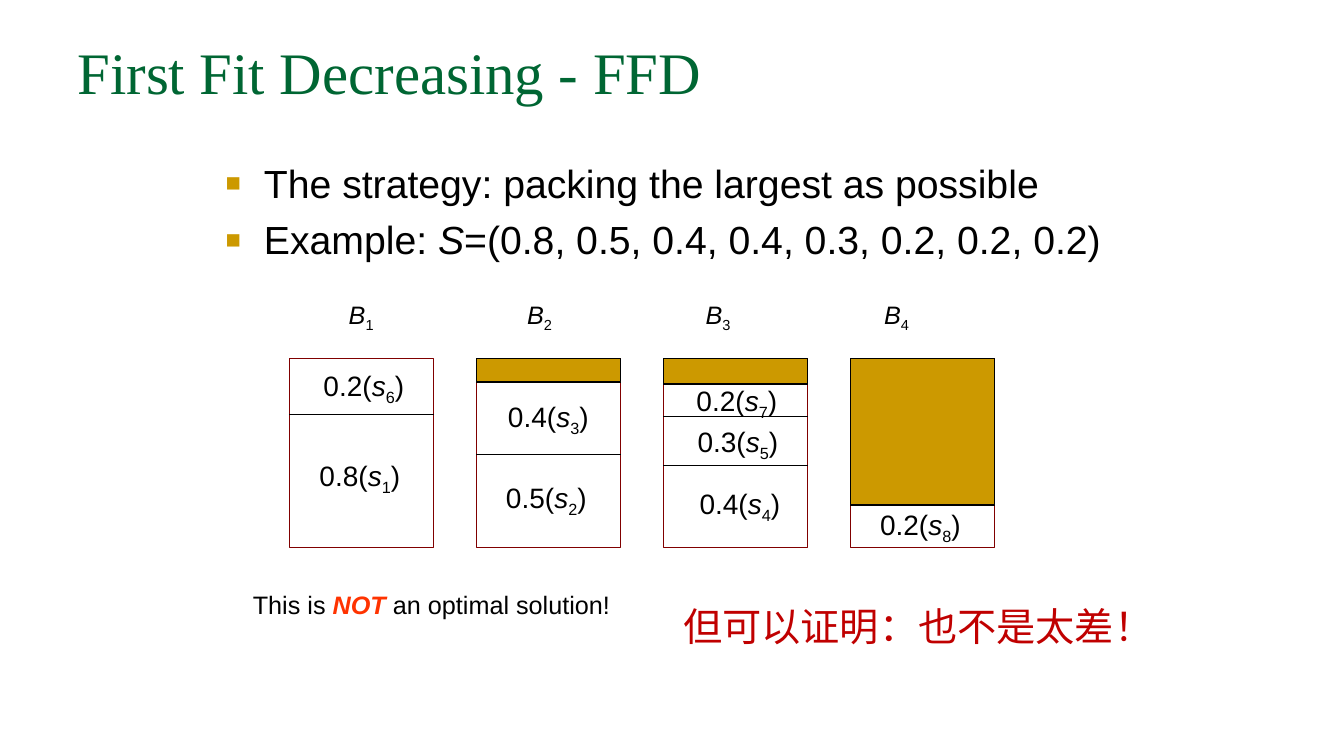
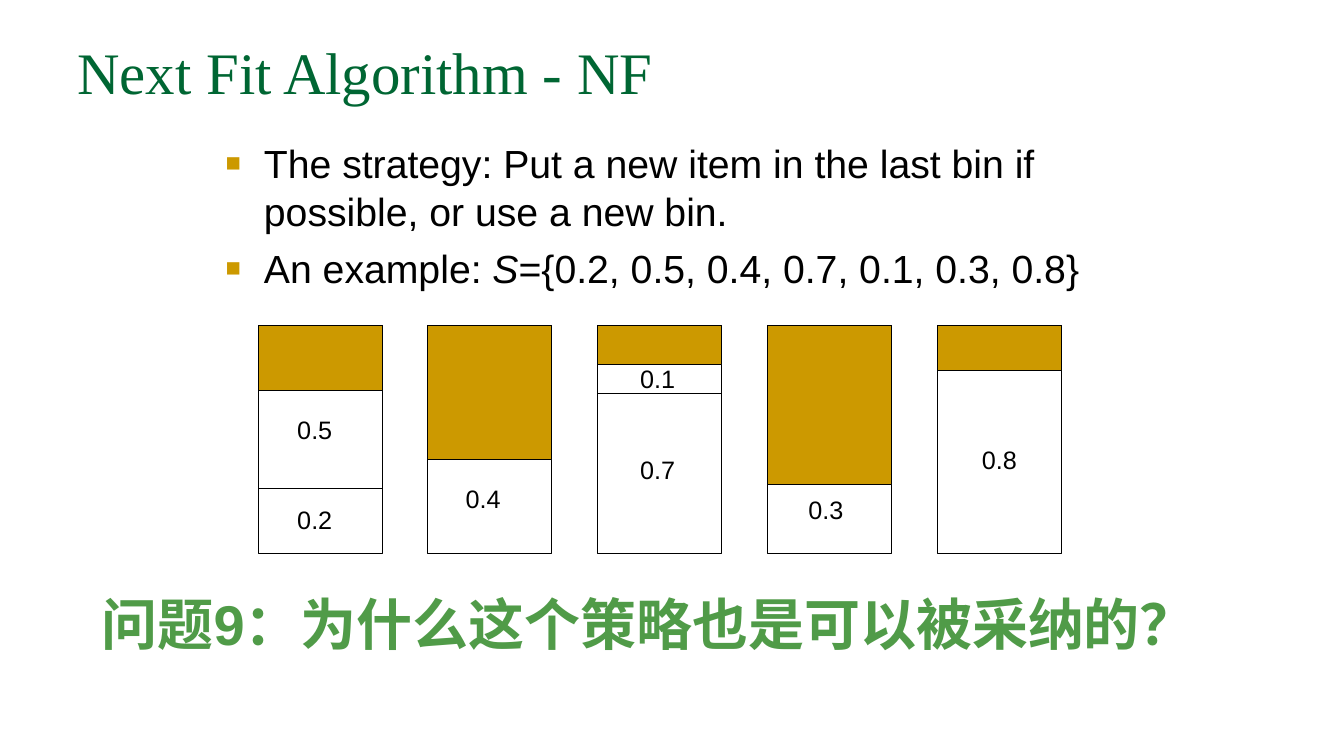
from lxml import etree
from pptx import Presentation
from pptx.dml.color import RGBColor
from pptx.enum.shapes import MSO_CONNECTOR, MSO_SHAPE
from pptx.enum.text import PP_ALIGN
from pptx.oxml.ns import qn
from pptx.util import Inches, Pt

# Shared style
BLACK, GREEN, GOLD, MAROON = "000000", "006633", "CC9900", "800000"
RED, ORANGE, LEAF = "C00000", "FF3300", "509B48"
SANS, SERIF, CJK = "Arial", "Times New Roman", "Noto Sans CJK JP"
LINE_WIDTH = Pt(0.75)


def color(hex_code):
    return RGBColor.from_string(hex_code)


# Text: a span is (text, style letters), with i italic, b bold, s subscript, o orange
def write_spans(para, spans, size, ink=BLACK, font=SANS):
    for text, style in spans:
        run = para.add_run()
        run.text = text
        run.font.size = Pt(size)
        run.font.name = font
        run.font.color.rgb = color(ORANGE if "o" in style else ink)
        run.font.italic = "i" in style
        run.font.bold = "b" in style
        properties = run.font._element
        if "s" in style:
            properties.set("baseline", "-25000")
        latin = properties.find(qn("a:latin"))
        east_asian = etree.Element(qn("a:ea"), typeface=CJK)
        latin.addnext(east_asian)


def add_text(page, left, top, width, height, spans, size, **style):
    box = page.shapes.add_textbox(Inches(left), Inches(top), Inches(width), Inches(height))
    box.text_frame.word_wrap = True
    write_spans(box.text_frame.paragraphs[0], spans, size, **style)
    return box


def add_title(page, title):
    add_text(page, 0.67, 0.3, 12, 1.25, [(title, "")], 42, ink=GREEN, font=SERIF)


def add_bullet_mark(para):
    properties = para._p.get_or_add_pPr()
    properties.set("marL", str(Inches(0.38)))
    properties.set("indent", str(-Inches(0.38)))
    bullet_color = etree.SubElement(properties, qn("a:buClr"))
    etree.SubElement(bullet_color, qn("a:srgbClr"), val=GOLD)
    etree.SubElement(properties, qn("a:buSzPct"), val="65000")
    etree.SubElement(properties, qn("a:buFont"), typeface=SANS)
    etree.SubElement(properties, qn("a:buChar"), char="■")


def add_bullets(page, top, height, items):
    box = page.shapes.add_textbox(Inches(2.14), Inches(top), Inches(9), Inches(height))
    frame = box.text_frame
    frame.word_wrap = True
    for index, spans in enumerate(items):
        para = frame.add_paragraph() if index else frame.paragraphs[0]
        add_bullet_mark(para)
        para.line_spacing = 1.04
        if index:
            para.space_before = Pt(5.6)
        write_spans(para, spans, 28)


# Bins
def add_rectangle(page, left, top, width, height, outline, fill=None):
    shape = page.shapes.add_shape(
        MSO_SHAPE.RECTANGLE, Inches(left), Inches(top), Inches(width), Inches(height))
    shape.shadow.inherit = False
    shape.line.color.rgb = color(outline)
    shape.line.width = LINE_WIDTH
    if fill:
        shape.fill.solid()
        shape.fill.fore_color.rgb = color(fill)
    else:
        shape.fill.background()


def add_divider(page, left, width, level):
    line = page.shapes.add_connector(
        MSO_CONNECTOR.STRAIGHT, Inches(left), Inches(level), Inches(left + width), Inches(level))
    line.line.color.rgb = color(BLACK)
    line.line.width = LINE_WIDTH
    etree.SubElement(line._element.spPr, qn("a:effectLst"))


def add_bin(page, left, top, width, height, outline, free, levels):
    """Draw a bin whose top part, of height free, is unused space."""
    add_rectangle(page, left, top, width, height, outline)
    floors = levels + [top + free] if free else levels
    for level in floors:
        add_divider(page, left, width, level)
    if free:
        add_rectangle(page, left, top, width, free, BLACK, GOLD)


def build_first_fit(page):
    add_title(page, "First Fit Decreasing - FFD")
    add_bullets(page, 1.51, 1.3, [
        [("The strategy: packing the largest as possible", "")],
        [("Example: ", ""), ("S", "i"), ("=(0.8, 0.5, 0.4, 0.4, 0.3, 0.2, 0.2, 0.2)", "")],
    ])
    # Free height, divider levels, items as (size, index, left, top)
    bins = [
        (0, [4.11], [("0.8", 1, 3.07, 4.5), ("0.2", 6, 3.11, 3.61)]),
        (0.23, [4.51], [("0.5", 2, 4.92, 4.72), ("0.4", 3, 4.94, 3.91)]),
        (0.25, [4.62, 4.13],
         [("0.4", 4, 6.84, 4.78), ("0.3", 5, 6.82, 4.16), ("0.2", 7, 6.81, 3.76)]),
        (1.45, [], [("0.2", 8, 8.63, 4.99)]),
    ]
    for index, (free, levels, items) in enumerate(bins):
        add_bin(page, 2.87 + 1.855 * index, 3.56, 1.43, 1.87, MAROON, free, levels)
        add_text(page, 3.36 + 1.77 * index, 2.92, 0.59, 0.4,
                 [("B", "i"), (str(index + 1), "s")], 18)
        for size, number, left, top in items:
            add_text(page, left, top, 1.03, 0.43,
                     [(f"{size}(", ""), ("s", "i"), (str(number), "s"), (")", "")], 20)
    # Conclusions
    add_text(page, 2.41, 5.8, 5.66, 0.4,
             [("This is ", ""), ("NOT", "bio"), (" an optimal solution!", "")], 18)
    add_text(page, 6.68, 5.93, 5, 0.57,
             [("但可以证明：也不是太差！", "")], 28, ink=RED, font=CJK)


def build_next_fit(page):
    add_title(page, "Next Fit Algorithm - NF")
    add_bullets(page, 1.31, 1.7, [
        [("The strategy: Put a new item in the last bin if possible, or use a new bin.", "")],
        [("An example: ", ""), ("S", "i"), ("={0.2, 0.5, 0.4, 0.7, 0.1, 0.3, 0.8}", "")],
    ])
    # Free height, divider levels, label left, items as (size, top)
    bins = [
        (0.64, [4.85], 2.85, [("0.2", 4.95), ("0.5", 4.06)]),
        (1.33, [], 4.52, [("0.4", 4.75)]),
        (0.39, [3.9], 6.25, [("0.7", 4.46), ("0.1", 3.56)]),
        (1.58, [], 7.92, [("0.3", 4.85)]),
        (0.45, [], 9.64, [("0.8", 4.36)]),
    ]
    for index, (free, levels, label_left, items) in enumerate(bins):
        add_bin(page, 2.56 + 1.685 * index, 3.23, 1.23, 2.26, BLACK, free, levels)
        for size, top in items:
            add_text(page, label_left, top, 0.74, 0.4, [(size, "")], 18)
    # Question
    question = add_text(page, 0.83, 5.8, 11.21, 0.77,
                        [("问题9：为什么这个策略也是可以被采纳的？", "b")], 40, ink=LEAF)
    question.text_frame.word_wrap = False
    question.text_frame.paragraphs[0].alignment = PP_ALIGN.CENTER


def main():
    deck = Presentation()
    deck.slide_width, deck.slide_height = Inches(13.33), Inches(7.5)
    for build in (build_first_fit, build_next_fit):
        build(deck.slides.add_slide(deck.slide_layouts[6]))
    deck.save("out.pptx")


if __name__ == "__main__":
    main()
